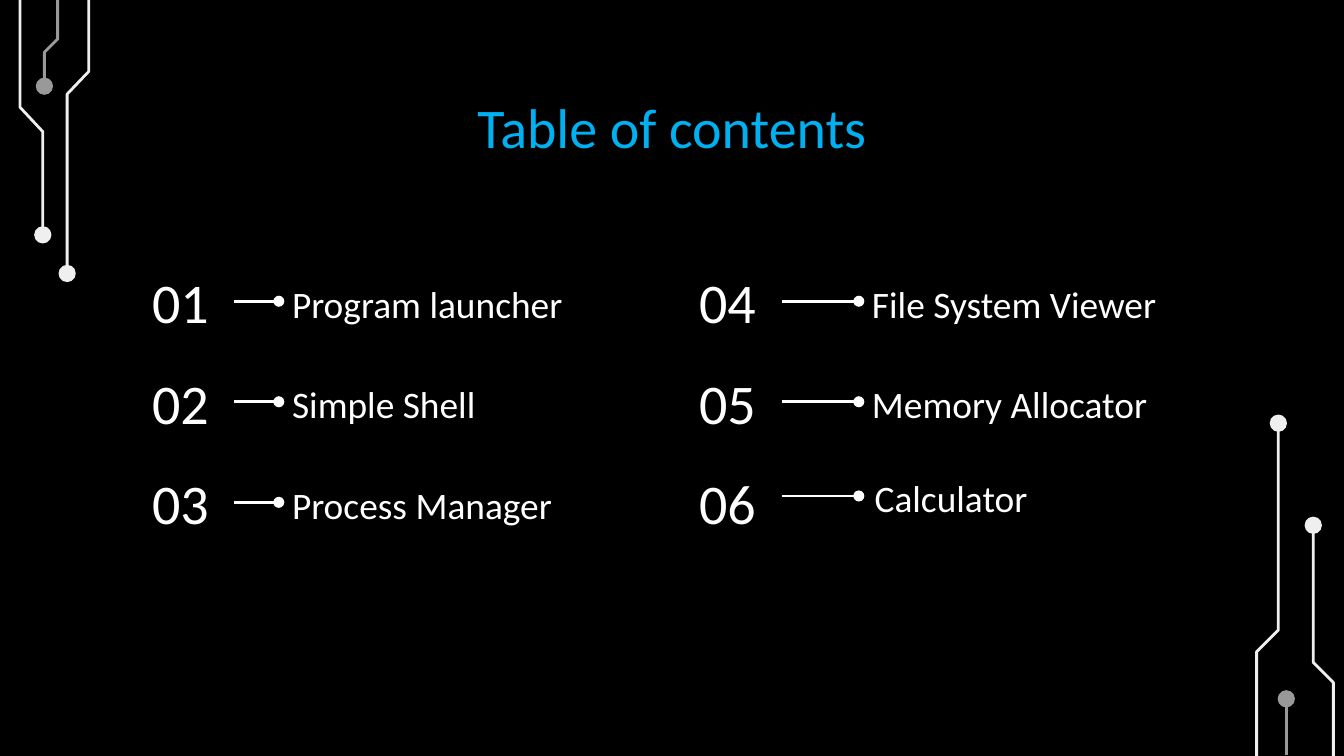
from dataclasses import dataclass

from lxml import etree
from pptx import Presentation
from pptx.dml.color import RGBColor
from pptx.enum.shapes import MSO_CONNECTOR, MSO_SHAPE
from pptx.enum.text import MSO_ANCHOR, PP_ALIGN
from pptx.oxml.ns import qn
from pptx.util import Cm, Pt

STRAIGHT = MSO_CONNECTOR.STRAIGHT
OVAL = MSO_SHAPE.OVAL
TOP, MIDDLE = MSO_ANCHOR.TOP, MSO_ANCHOR.MIDDLE
LEFT, CENTER = PP_ALIGN.LEFT, PP_ALIGN.CENTER
SIDE_LEFT, SIDE_RIGHT = 1, 3


@dataclass(frozen=True)
class Theme:
    font: str = "Calibri"
    background: RGBColor = RGBColor(0x00, 0x00, 0x00)
    title: RGBColor = RGBColor(0x00, 0xB0, 0xF0)
    text: RGBColor = RGBColor(0xFF, 0xFF, 0xFF)
    bright: RGBColor = RGBColor(0xEF, 0xEF, 0xEF)
    dim: RGBColor = RGBColor(0x99, 0x99, 0x99)
    large: int = 30
    medium: int = 20
    stroke: float = 1.5
    node_stroke: float = 0.75


THEME = Theme()
NODE = 0.3
ROW_HEIGHT = 1.27
ROW_STEP = 1.9
NUMBER_WIDTH = 2.04

# Each trace runs from the slide edge to its node, in cm inside its box.
TOP_TRACES = [
    (THEME.bright, [(0, -0.03), (0, 2.03), (0.43, 2.49), (0.43, 4.44)]),
    (THEME.dim, [(0.71, -0.2), (0.71, 0.74), (0.46, 0.99), (0.46, 1.63)]),
    (THEME.bright, [(1.3, -0.03), (1.3, 1.35), (0.89, 1.78), (0.89, 5.17)]),
]
BOTTOM_TRACES = [
    (THEME.bright, [(0, 6.4), (0, 4.32), (0.41, 3.91), (0.41, 0)]),
    (THEME.bright, [(1.45, 6.4), (1.45, 4.9), (1.07, 4.52), (1.07, 1.93)]),
    (THEME.dim, [(0.56, 6.28), (0.56, 5.21)]),
]

LEFT_TOPICS = [("01", "Program launcher"), ("02", "Simple Shell"), ("03", "Process Manager")]
RIGHT_TOPICS = [("04", "File System Viewer"), ("05", "Memory Allocator")]
LAST_TOPIC = ("06", "Calculator")


def add_text(slide, box, text, size, color, align=LEFT, anchor=TOP):
    textbox = slide.shapes.add_textbox(*(Cm(length) for length in box))
    frame = textbox.text_frame
    frame.word_wrap = True
    frame.vertical_anchor = anchor
    frame.margin_left = frame.margin_right = Cm(0.25)
    frame.margin_top = frame.margin_bottom = Cm(0.25)
    paragraph = frame.paragraphs[0]
    paragraph.alignment = align
    run = paragraph.add_run()
    run.text = text
    run.font.name = THEME.font
    run.font.size = Pt(size)
    run.font.color.rgb = color
    return textbox


def add_line(slide, start, end, color):
    line = slide.shapes.add_connector(STRAIGHT, *(Cm(value) for value in (*start, *end)))
    line.line.color.rgb = color
    line.line.width = Pt(THEME.stroke)
    etree.SubElement(line._element.spPr, qn("a:effectLst"))
    return line


def add_trace(slide, points, color):
    """Draw one circuit path and the round node at its last point."""
    if len(points) == 2:
        add_line(slide, *points, color)
    else:
        corners = [(Cm(x), Cm(y)) for x, y in points]
        builder = slide.shapes.build_freeform(*corners[0])
        builder.add_line_segments(corners[1:], close=False)
        path = builder.convert_to_shape()
        path.shadow.inherit = False
        path.fill.background()
        path.line.color.rgb = color
        path.line.width = Pt(THEME.stroke)

    x, y = points[-1]
    node = slide.shapes.add_shape(OVAL, Cm(x - NODE / 2), Cm(y - NODE / 2), Cm(NODE), Cm(NODE))
    node.shadow.inherit = False
    node.fill.solid()
    node.fill.fore_color.rgb = color
    node.line.color.rgb = color
    node.line.width = Pt(THEME.node_stroke)


def add_circuit(slide, left, top, traces):
    for color, points in traces:
        add_trace(slide, [(left + x, top + y) for x, y in points], color)


def add_topic(slide, box, topic, gap, label_shift=(0, 0)):
    """Place number, pointer and label; a shifted label leaves the pointer unjoined."""
    left, top, width = box
    number, label = topic
    shift_x, shift_y = label_shift
    pointer_left = left + NUMBER_WIDTH
    label_left = pointer_left + gap
    middle = top + shift_y + ROW_HEIGHT / 2

    number_box = add_text(slide, (left, top, NUMBER_WIDTH, ROW_HEIGHT), number,
                          THEME.large, THEME.text, CENTER, MIDDLE)
    label_box = add_text(
        slide,
        (label_left + shift_x, top + shift_y, width - NUMBER_WIDTH - gap, ROW_HEIGHT),
        label, THEME.medium, THEME.text)
    pointer = add_line(slide, (pointer_left, middle), (label_left, middle), THEME.text)
    etree.SubElement(pointer.line._get_or_add_ln(), qn("a:tailEnd"), type="oval")
    if label_shift == (0, 0):
        pointer.begin_connect(number_box, SIDE_RIGHT)
        pointer.end_connect(label_box, SIDE_LEFT)


def add_topic_column(slide, box, topics, gap):
    left, top, width = box
    for row, topic in enumerate(topics):
        add_topic(slide, (left, top + row * ROW_STEP, width), topic, gap)


def main():
    deck = Presentation()
    deck.slide_width, deck.slide_height = Cm(25.4), Cm(14.29)
    slide = deck.slides.add_slide(deck.slide_layouts[6])
    slide.background.fill.solid()
    slide.background.fill.fore_color.rgb = THEME.background

    add_circuit(slide, 0.38, 0, TOP_TRACES)
    add_circuit(slide, 23.75, 8, BOTTOM_TRACES)
    add_text(slide, (2, 1.5, 21.4, 1.6), "Table of contents", THEME.large, THEME.title, CENTER)

    rows_top = 5.06
    right_left, right_width, right_gap = 12.73, 10.65, 1.46
    add_topic_column(slide, (2.39, rows_top, 9.65), LEFT_TOPICS, gap=0.84)
    add_topic_column(slide, (right_left, rows_top, right_width), RIGHT_TOPICS, right_gap)
    last_top = rows_top + len(RIGHT_TOPICS) * ROW_STEP
    add_topic(slide, (right_left, last_top, right_width), LAST_TOPIC, right_gap,
              label_shift=(0.05, -0.12))

    deck.save("out.pptx")


if __name__ == "__main__":
    main()
